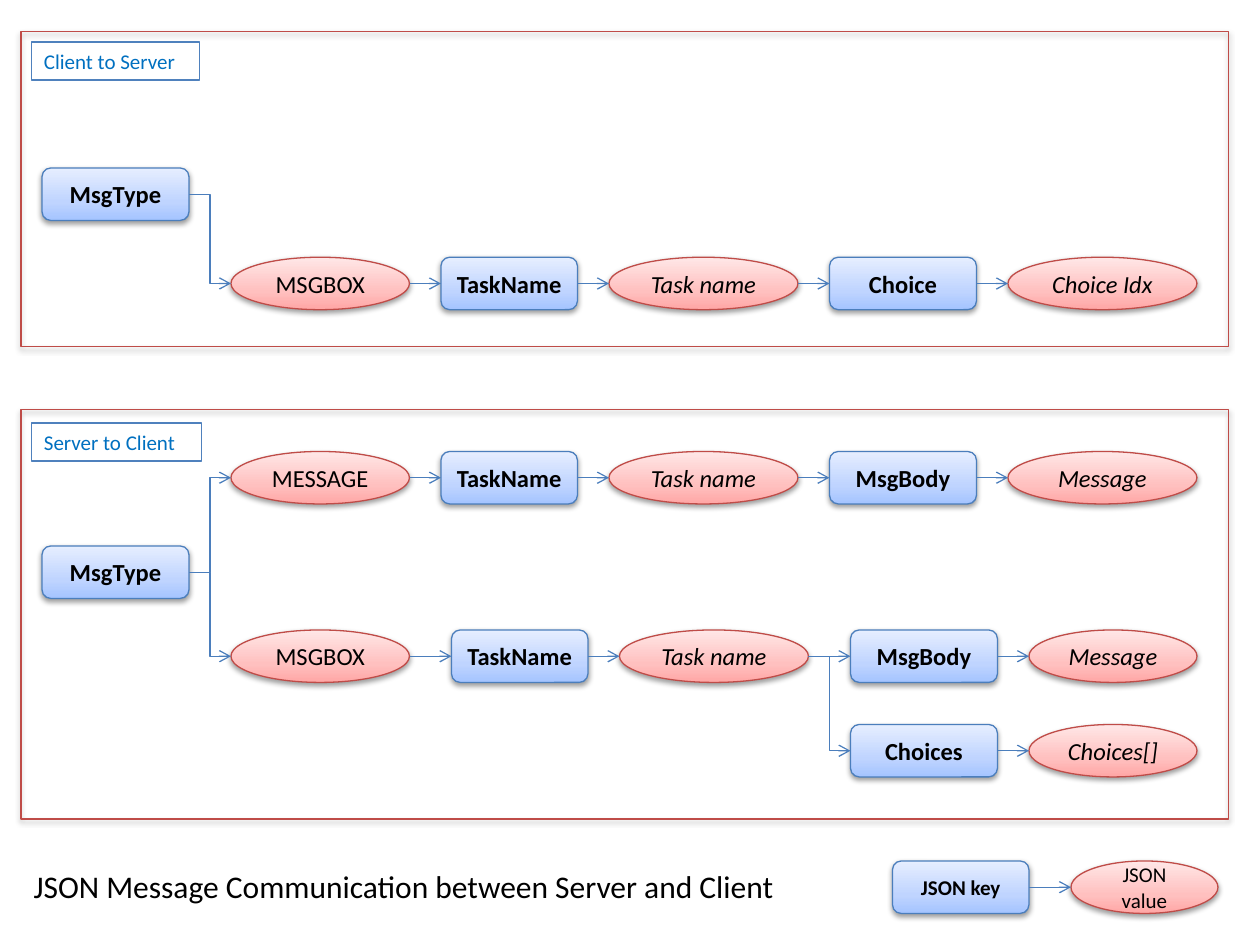
import copy
import pptx
import pptx.util
import pptx.dml.color
import pptx.enum.shapes
import pptx.enum.text
import pptx.oxml
import pptx.oxml.ns

TITLE = "JSON Message Communication between Server and Client"
FRAMES = [
    ("Client to Server", (2, 3, 115, 30), (3, 4, 16, 3.6)),
    ("Server to Client", (2, 39, 115, 39), (3, 40.3, 16.2, 3.6)),
]
WIDE = [(4, 14), (22, 17), (42, 13), (58, 18), (79, 14), (96, 18)]
SHIFTED = [(4, 14), (22, 17), (43, 13), (59, 18), (81, 14), (98, 16)]
LEGEND = [(85, 13), (102, 14)]
TASK = [("key", "TaskName"), ("variable", "Task name")]

ROWS = {
    "client": (16, WIDE, 0, [("key", "MsgType")], 14),
    "client box": (24.5, WIDE, 1, [("constant", "MSGBOX"), *TASK,
                                   ("key", "Choice"), ("variable", "Choice Idx")], 14),
    "server": (52, WIDE, 0, [("key", "MsgType")], 14),
    "server message": (43, WIDE, 1, [("constant", "MESSAGE"), *TASK,
                                     ("key", "MsgBody"), ("variable", "Message")], 14),
    "server box": (60, SHIFTED, 1, [("constant", "MSGBOX"), *TASK,
                                    ("key", "MsgBody"), ("variable", "Message")], 14),
    "server choices": (69, SHIFTED, 4, [("key", "Choices"), ("variable", "Choices[]")], 14),
    "legend": (82, LEGEND, 0, [("key", "JSON key"), ("constant", "JSON value")], 12),
}
BRANCHES = [
    (("client", 0), ("client box", 1)),
    (("server", 0), ("server message", 1)),
    (("server", 0), ("server box", 1)),
    (("server box", 3), ("server choices", 4)),
]
PRESETS = pptx.enum.shapes.MSO_SHAPE
BLUE = (PRESETS.ROUNDED_RECTANGLE, "4B7EBC", ["A4C4FF", "BFD4FF", "E6EEFF"])
RED = (PRESETS.OVAL, "BF4C48", ["FFA6A5", "FFC0BF", "FFE7E7"])
STYLES = {"key": BLUE, "constant": RED, "variable": RED}
NODE_HEIGHT = 5
SHADOW = (
    f'<a:effectLst {pptx.oxml.ns.nsdecls("a")}>'
    '<a:outerShdw blurRad="40000" dist="20000" dir="5400000" rotWithShape="0">'
    '<a:srgbClr val="000000"><a:alpha val="38000"/></a:srgbClr>'
    '</a:outerShdw></a:effectLst>'
)

presentation = pptx.Presentation()
presentation.slide_width = pptx.util.Inches(10)
presentation.slide_height = pptx.util.Inches(7.5)
UNIT = presentation.slide_width / 120
slide = presentation.slides.add_slide(presentation.slide_layouts[5])


def color(hex_value):
    return pptx.dml.color.RGBColor.from_string(hex_value)


def units(*values):
    return [round(value * UNIT) for value in values]


def set_line(item, hex_value, width=0.75):
    item.line.color.rgb = color(hex_value)
    item.line.width = pptx.util.Pt(width)


def set_text(shape, text, size, hex_value="000000", align="LEFT", bold=False, italic=False):
    shape.text_frame.text = text
    paragraph = shape.text_frame.paragraphs[0]
    paragraph.alignment = getattr(pptx.enum.text.PP_ALIGN, align)
    font = paragraph.font
    font.name, font.size = "Calibri", pptx.util.Pt(size)
    font.bold, font.italic = bold, italic
    font.color.rgb = color(hex_value)


def add_shape(preset, box, line_color):
    shape = slide.shapes.add_shape(preset, *units(*box))
    set_line(shape, line_color)
    shape.shadow.inherit = False
    properties = shape.element.spPr
    properties.replace(properties.find(pptx.oxml.ns.qn("a:effectLst")), pptx.oxml.parse_xml(SHADOW))
    return shape


def add_node(kind, text, box, size):
    preset, line_color, stops = STYLES[kind]
    shape = add_shape(preset, box, line_color)
    shape.fill.gradient()
    shape.fill.gradient_angle = 90
    stop_list = shape.element.spPr.find(".//" + pptx.oxml.ns.qn("a:gsLst"))
    stop_list.append(copy.deepcopy(stop_list[0]))
    for stop, position, hex_value in zip(shape.fill.gradient_stops, (0, 0.35, 1), stops):
        stop.position = position
        stop.color.rgb = color(hex_value)
    set_text(shape, text, size, align="CENTER", bold=kind == "key", italic=kind == "variable")
    shape.text_frame.vertical_anchor = pptx.enum.text.MSO_ANCHOR.MIDDLE
    return shape


def add_arrow(source, target):
    start = (source.left + source.width, source.top + source.height // 2)
    end = (target.left, target.top + target.height // 2)
    kinds = pptx.enum.shapes.MSO_CONNECTOR
    kind = kinds.STRAIGHT if start[1] == end[1] else kinds.ELBOW
    connector = slide.shapes.add_connector(kind, *start, *end)
    set_line(connector, "4B7EBC")
    line = connector.line._get_or_add_ln()
    pptx.oxml.ns.qn("a:tailEnd")
    line.append(pptx.oxml.parse_xml(f'<a:tailEnd {pptx.oxml.ns.nsdecls("a")} type="arrow"/>'))
    connector.element.spPr.append(
        pptx.oxml.parse_xml(f'<a:effectLst {pptx.oxml.ns.nsdecls("a")}/>'))


title = slide.shapes.title
title.left, title.top, title.width, title.height = units(2, 82, 73.8, 4.8)
set_text(title, TITLE, 18)
title.text_frame.word_wrap = False
title.text_frame.auto_size = pptx.enum.text.MSO_AUTO_SIZE.NONE
title.text_frame.vertical_anchor = pptx.enum.text.MSO_ANCHOR.TOP

for label, frame_box, label_box in FRAMES:
    add_shape(PRESETS.RECTANGLE, frame_box, "BF4C48").fill.background()
    caption = slide.shapes.add_textbox(*units(*label_box))
    caption.fill.solid()
    caption.fill.fore_color.rgb = color("FFFFFF")
    set_line(caption, "4F81BD", 1)
    set_text(caption, label, 12, "0070C0")
    caption.text_frame.word_wrap = True

nodes = {}
for row, (top, grid, first, cells, size) in ROWS.items():
    for column, (kind, text) in enumerate(cells, first):
        left, width = grid[column]
        nodes[row, column] = add_node(kind, text, (left, top, width, NODE_HEIGHT), size)
        if column > first:
            add_arrow(nodes[row, column - 1], nodes[row, column])

for source, target in BRANCHES:
    add_arrow(nodes[source], nodes[target])

presentation.save("out.pptx")
